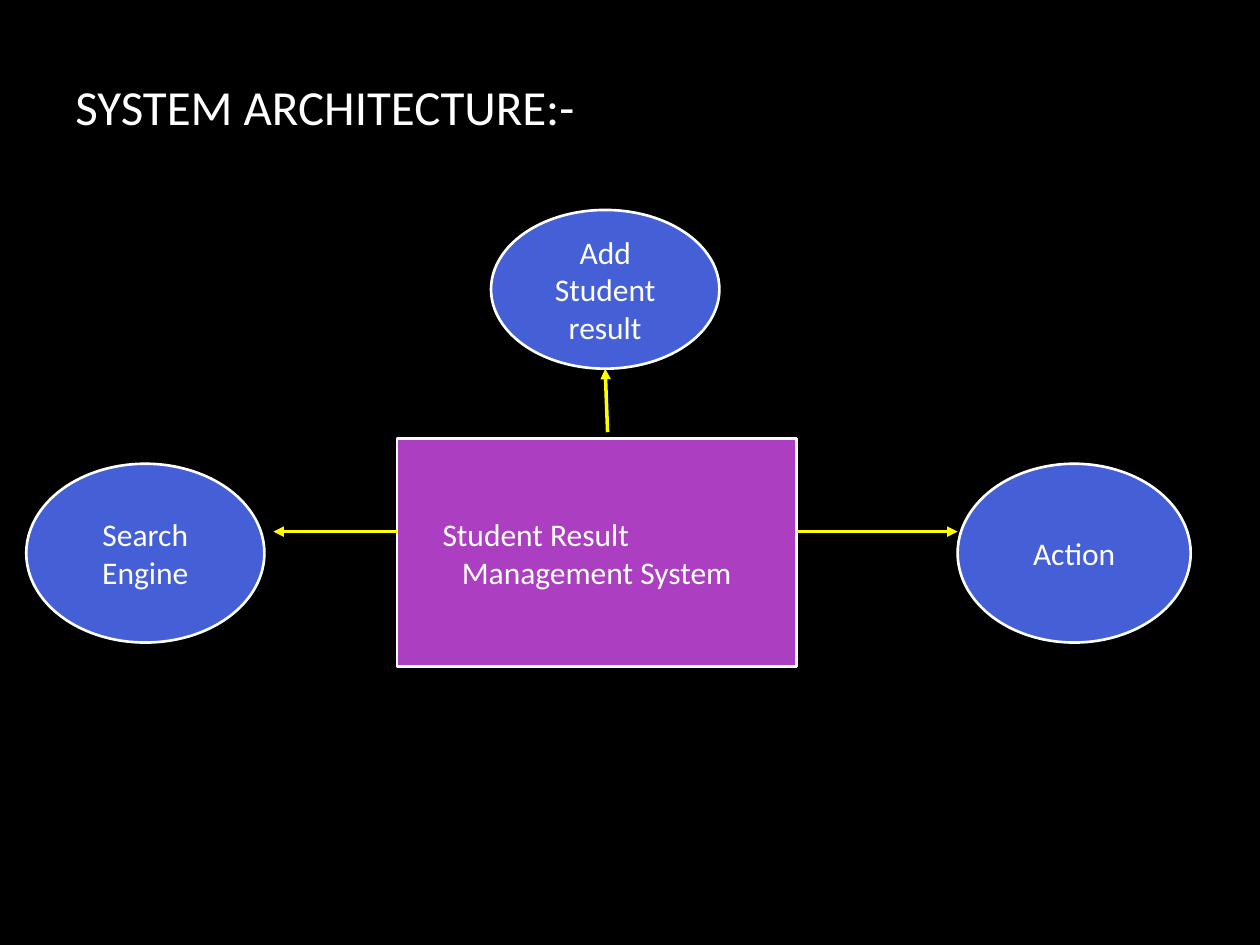
import dataclasses
import typing

import pptx
import pptx.dml.color
import pptx.enum.shapes
import pptx.enum.text
import pptx.oxml
import pptx.oxml.ns
import pptx.util

Pt = pptx.util.Pt
Color = pptx.dml.color.RGBColor.from_string
Kind = pptx.enum.shapes.MSO_SHAPE
Align = pptx.enum.text.PP_ALIGN
Anchor = pptx.enum.text.MSO_ANCHOR


@dataclasses.dataclass(frozen=True)
class Theme:
    back: str = "000000"
    text: str = "FFFFFF"
    node: str = "455FD6"
    core: str = "AC3EC1"
    arrow: str = "FFFF00"
    font: str = "Calibri"
    title: float = 28
    label: float = 18
    border: float = 1.5
    stroke: float = 2


@dataclasses.dataclass(frozen=True)
class Node:
    label: str
    kind: typing.Any
    fill: str
    left: float
    top: float
    width: float
    height: float
    align: typing.Any = Align.CENTER
    margin: float = 0
    indent: float = 0


class Arrow(typing.NamedTuple):
    x1: float
    y1: float
    x2: float
    y2: float


THEME = Theme()
SIDE_Y, SIDE_H = 265, 102.2
ARROW_Y = 303.8
CORE = Node("Student Result\vManagement System", Kind.RECTANGLE, THEME.core,
            226.8, 250.6, 228.4, 130.3, Align.LEFT, 30, -11)
ADD = Node("Add Student result", Kind.OVAL, THEME.node, 280.6, 120, 130.5, 90.7)
ACTION = Node("Action", Kind.OVAL, THEME.node, 547.2, SIDE_Y, 133.2, SIDE_H)
SEARCH = Node("Search Engine", Kind.OVAL, THEME.node, 15, SIDE_Y, 136.1, SIDE_H)
NODES = (ADD, CORE, ACTION, SEARCH)
ARROWS = (
    Arrow(347.2, 247, ADD.left + ADD.width / 2, ADD.top + ADD.height),
    Arrow(CORE.left + CORE.width, ARROW_Y, ACTION.left, ARROW_Y),
    Arrow(CORE.left, ARROW_Y, 156.2, ARROW_Y),
)


def apply(target: typing.Any, values: dict[str, typing.Any]) -> None:
    for name, value in values.items():
        setattr(target, name, value)


def write(shape: typing.Any, text: str, size: float, align: typing.Any) -> typing.Any:
    frame = shape.text_frame
    apply(frame, {"word_wrap": True, "vertical_anchor": Anchor.MIDDLE})
    para = frame.paragraphs[0]
    apply(para, {"text": text, "alignment": align})
    for run in para.runs:
        apply(run.font, {"name": THEME.font, "size": Pt(size)})
        run.font.color.rgb = Color(THEME.text)
    return para


def draw_title(slide: typing.Any, text: str) -> None:
    box = slide.shapes.add_textbox(Pt(36), Pt(15.1), Pt(653.8), Pt(90.7))
    write(box, text, THEME.title, Align.LEFT)


def draw_node(slide: typing.Any, node: Node) -> None:
    place = map(Pt, (node.left, node.top, node.width, node.height))
    shape = slide.shapes.add_shape(node.kind, *place)
    shape.shadow.inherit = False
    shape.fill.solid()
    shape.fill.fore_color.rgb = Color(node.fill)
    shape.line.color.rgb = Color(THEME.text)
    shape.line.width = Pt(THEME.border)
    para = write(shape, node.label, THEME.label, node.align)
    if node.margin:
        props = para._p.get_or_add_pPr()
        props.set("marL", str(Pt(node.margin)))
        props.set("indent", str(Pt(node.indent)))


def draw_arrow(slide: typing.Any, arrow: Arrow) -> None:
    straight = pptx.enum.shapes.MSO_CONNECTOR.STRAIGHT
    link = slide.shapes.add_connector(straight, *map(Pt, arrow))
    link.line.color.rgb = Color(THEME.arrow)
    link.line.width = Pt(THEME.stroke)
    space = pptx.oxml.ns.nsdecls("a")
    tip = pptx.oxml.parse_xml(f'<a:tailEnd {space} type="triangle"/>')
    link.line._get_or_add_ln().append(tip)
    link._element.spPr.append(pptx.oxml.parse_xml(f"<a:effectLst {space}/>"))


def main() -> None:
    deck = pptx.Presentation()
    apply(deck, {"slide_width": Pt(720), "slide_height": Pt(540)})
    slide = deck.slides.add_slide(deck.slide_layouts[6])
    slide.background.fill.solid()
    slide.background.fill.fore_color.rgb = Color(THEME.back)
    draw_title(slide, "SYSTEM ARCHITECTURE:-")
    for node in NODES:
        draw_node(slide, node)
    for arrow in ARROWS:
        draw_arrow(slide, arrow)
    deck.save("out.pptx")


if __name__ == "__main__":
    main()
